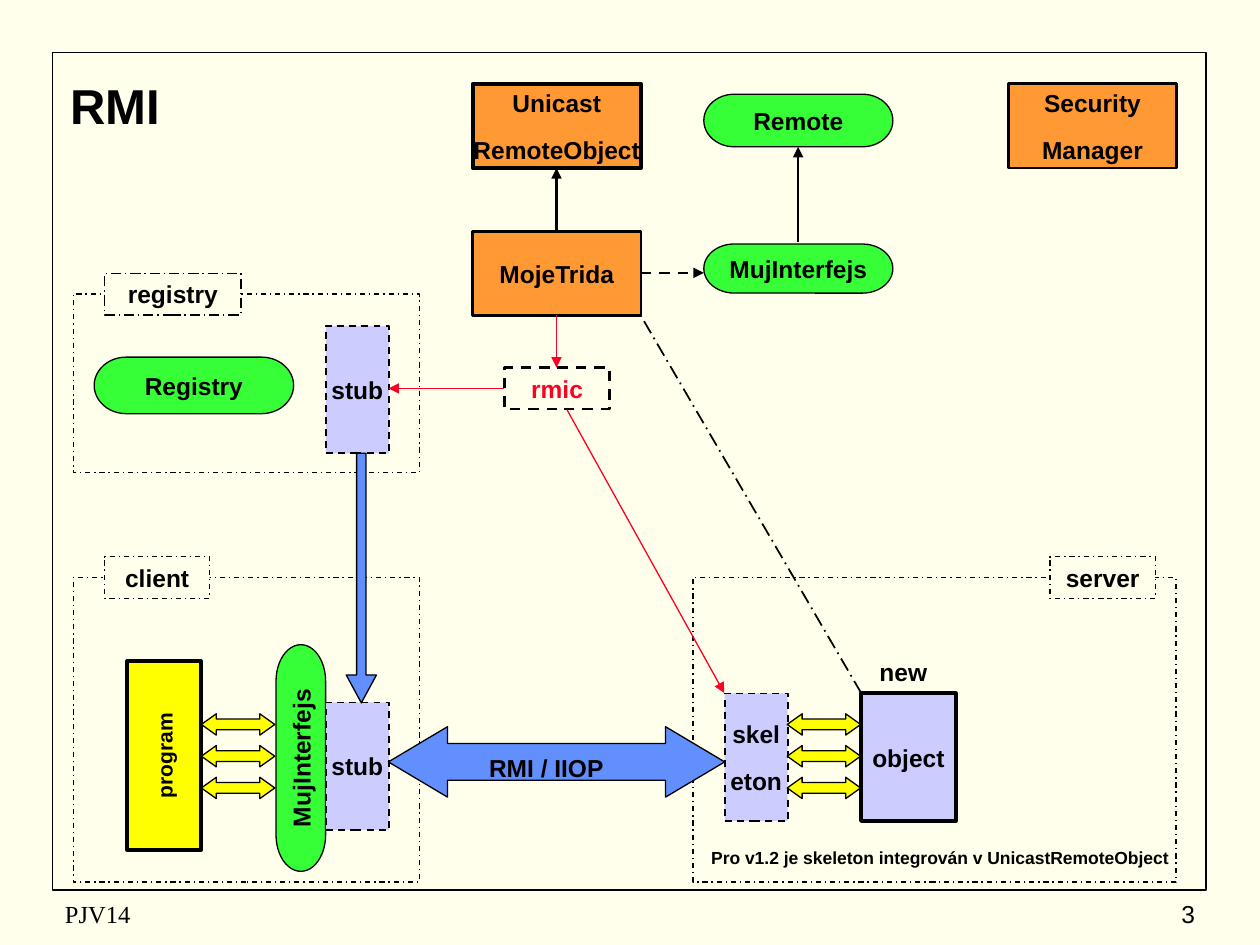
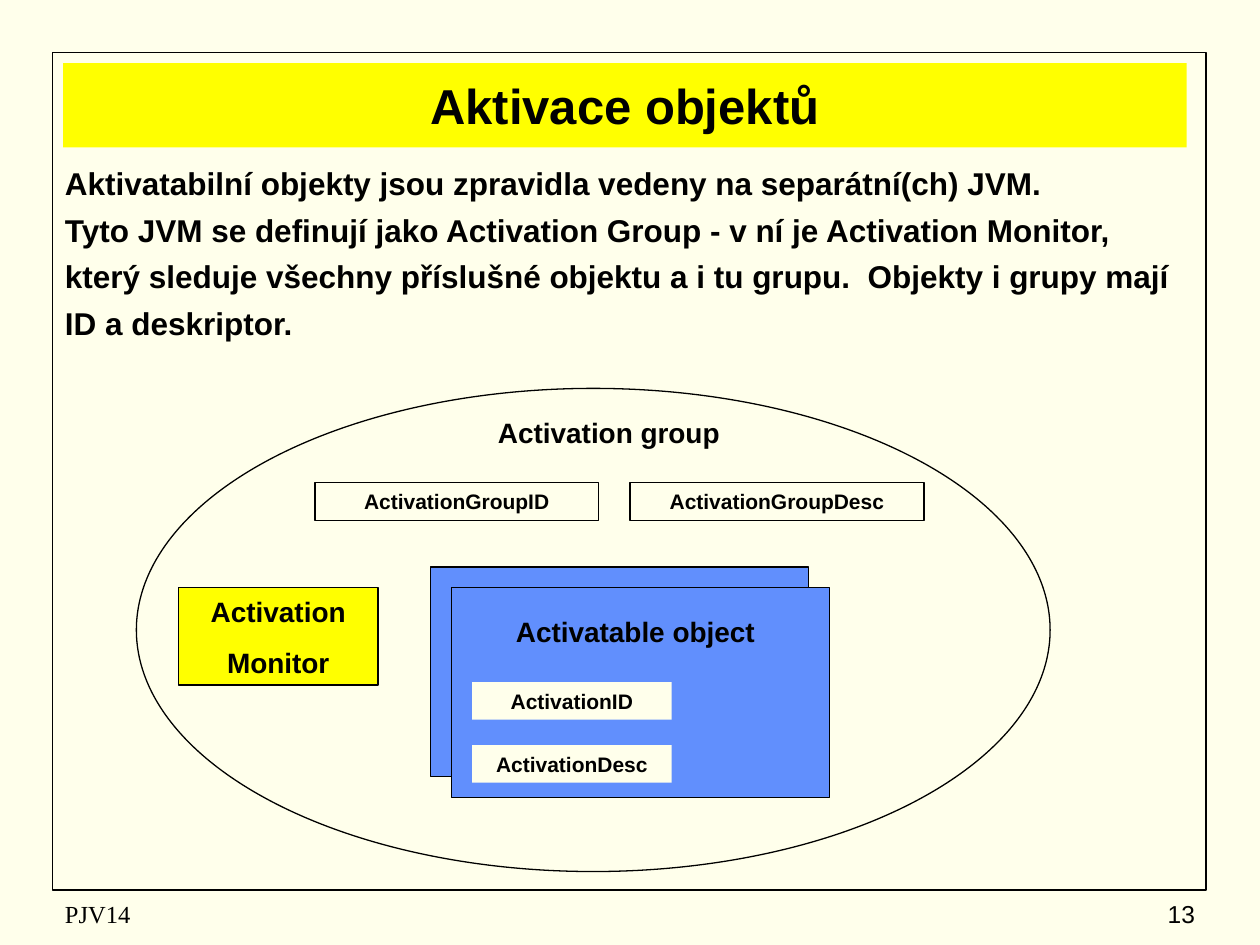
from dataclasses import dataclass

from pptx import Presentation
from pptx.dml.color import RGBColor
from pptx.enum.dml import MSO_LINE as Dash
from pptx.enum.shapes import MSO_CONNECTOR as Connector, MSO_SHAPE as Kind
from pptx.enum.text import MSO_ANCHOR as Anchor, MSO_AUTO_SIZE as AutoSize, PP_ALIGN as Align
from pptx.oxml.ns import qn
from pptx.util import Cm, Pt
from lxml.etree import SubElement


# Shared look
@dataclass(frozen=True)
class Theme:
    paper: str = "FFFFEB"
    ink: str = "000000"
    red: str = "FC0128"
    orange: str = "FF9933"
    green: str = "37FF37"
    yellow: str = "FFFF00"
    blue: str = "618FFD"
    lilac: str = "CCCCFF"
    sans: str = "Arial"
    serif: str = "Times New Roman"
    title_size: float = 28
    body_size: float = 18
    heading_size: float = 16
    label_size: float = 14
    small_size: float = 12
    note_size: float = 10
    body_gap: float = 5
    label_gap: float = 10


THEME = Theme()


@dataclass(frozen=True)
class Box:
    """A rectangle in centimetres."""
    left: float
    top: float
    width: float
    height: float

    def inner(self, x, y, width, height):
        return Box(self.left + x, self.top + y, width, height)

    def point(self, x, y):
        return self.left + x, self.top + y

    def lengths(self):
        return [Cm(v) for v in (self.left, self.top, self.width, self.height)]


def apply(target, formats):
    for name, value in formats.items():
        setattr(target, name, value)


# Basic parts
def write(shape, text, size=THEME.label_size, color=THEME.ink, font=THEME.sans,
          bold=True, align=Align.CENTER, anchor=Anchor.MIDDLE, wrap=False,
          gap=THEME.label_gap, plain=False):
    frame = shape.text_frame
    apply(frame, {
        "text": text, "word_wrap": wrap, "auto_size": AutoSize.NONE,
        "vertical_anchor": anchor,
        "margin_left": Cm(0.25), "margin_right": Cm(0.25),
        "margin_top": Cm(0.13), "margin_bottom": Cm(0.13),
    })
    for index, para in enumerate(frame.paragraphs):
        apply(para, {"alignment": align, "space_before": Pt(gap if index else 0)})
        if plain:  # no bullet, no hanging indent
            props = para._p.get_or_add_pPr()
            props.set("marL", "0")
            props.set("indent", "0")
            SubElement(props, qn("a:buNone"))
        apply(para.font, {"name": font, "size": Pt(size), "bold": bold})
        para.font.color.rgb = RGBColor.from_string(color)


def add_part(page, kind, box, text="", fill=None, line=0.75, dash=None,
             adjust=(), rotation=0, **text_format):
    shape = page.shapes.add_shape(kind, *box.lengths())
    shape.shadow.inherit = False
    shape.rotation = rotation
    for index, value in enumerate(adjust):
        shape.adjustments[index] = value
    if fill:
        shape.fill.solid()
        shape.fill.fore_color.rgb = RGBColor.from_string(fill)
    else:
        shape.fill.background()
    if line:
        shape.line.color.rgb = RGBColor.from_string(THEME.ink)
        apply(shape.line, {"width": Pt(line), "dash_style": dash})
    else:
        shape.line.fill.background()
    if text:
        write(shape, text, **text_format)
    return shape


def add_text(page, box, text, **text_format):
    write(page.shapes.add_textbox(*box.lengths()), text, **text_format)


def add_link(page, start, end, color=THEME.ink, width=0.75, dash=None, arrow=True):
    link = page.shapes.add_connector(
        Connector.STRAIGHT, *[Cm(v) for v in (*start, *end)])
    link.line.color.rgb = RGBColor.from_string(color)
    apply(link.line, {"width": Pt(width), "dash_style": dash})
    if arrow:
        SubElement(link.line._get_or_add_ln(), qn("a:tailEnd"), type="triangle")
    SubElement(link._element.spPr, qn("a:effectLst"))


# Page furniture
def add_page(deck, layout, number, title, title_box, title_fill=None):
    page = deck.slides.add_slide(deck.slide_layouts[layout])
    add_part(page, Kind.RECTANGLE, Box(1.06, 1.06, 23.25, 16.89), line=1)
    heading = page.shapes.title
    place(heading, title_box)
    write(heading, title, size=THEME.title_size, wrap=True)
    if title_fill:
        heading.fill.solid()
        heading.fill.fore_color.rgb = RGBColor.from_string(title_fill)
    footer = {"bold": False, "wrap": True}
    add_text(page, Box(1.06, 17.99, 8.04, 0.84), "PJV14",
             font=THEME.serif, align=Align.LEFT, **footer)
    add_text(page, Box(19.05, 17.99, 5.29, 0.84), str(number),
             align=Align.RIGHT, **footer)
    return page


def place(shape, box):
    apply(shape, dict(zip(("left", "top", "width", "height"), box.lengths())))


# Parts of the RMI diagram
def add_pill(page, box, text, **formats):
    add_part(page, Kind.FLOWCHART_TERMINATOR, box, text, fill=THEME.green, **formats)


def add_class(page, box, text, line=1.5):
    add_part(page, Kind.RECTANGLE, box, text, fill=THEME.orange, line=line)


def add_proxy(page, box, text):
    add_part(page, Kind.RECTANGLE, box, text, fill=THEME.lilac, line=1, dash=Dash.DASH)


def add_group(page, box, name, label_x=0.63, label_width=2.12, label_dash=Dash.DASH_DOT):
    add_part(page, Kind.RECTANGLE, box, dash=Dash.DASH_DOT)
    add_part(page, Kind.RECTANGLE, box.inner(label_x, -0.42, label_width, 0.84), name,
             fill=THEME.paper, dash=label_dash)


def add_calls(page, box, x):
    for row in range(3):
        add_part(page, Kind.LEFT_RIGHT_ARROW, box.inner(x, 2.75 + 0.64 * row, 1.48, 0.43),
                 fill=THEME.yellow, adjust=(0.5, 0.7))


def draw_classes(page, box):
    add_class(page, box.inner(0, 0, 3.39, 1.7), "Unicast\nRemoteObject", line=2.25)
    add_class(page, box.inner(0, 2.98, 3.39, 1.69), "MojeTrida")
    add_class(page, box.inner(10.8, 0, 3.39, 1.7), "Security\nManager")
    add_pill(page, box.inner(4.66, 0.21, 3.81, 1.06), "Remote")
    add_pill(page, box.inner(4.66, 3.23, 3.81, 0.99), "MujInterfejs")
    add_part(page, Kind.RECTANGLE, box.inner(0.64, 5.72, 2.12, 0.84), "rmic",
             fill=THEME.paper, line=1.5, dash=Dash.DASH, color=THEME.red)
    # Inheritance, implementation and compilation
    add_link(page, box.point(1.69, 2.98), box.point(1.69, 1.7), width=1.5)
    add_link(page, box.point(6.56, 3.18), box.point(6.56, 1.27), width=1.5)
    add_link(page, box.point(3.39, 3.81), box.point(4.66, 3.81), width=1.5, dash=Dash.DASH)
    add_link(page, box.point(1.69, 4.66), box.point(1.69, 5.72), color=THEME.red)


def draw_registry(page, box):
    add_group(page, box, "registry", label_width=2.75, label_dash=Dash.LONG_DASH_DOT)
    add_pill(page, box.inner(0.42, 1.27, 4.02, 1.14), "Registry")
    add_proxy(page, box.inner(5.09, 0.64, 1.27, 2.57), "stub")


def draw_client(page, box):
    add_group(page, box, "client")
    program = add_part(page, Kind.RECTANGLE, box.inner(1.09, 1.69, 1.48, 3.81), "program",
                       fill=THEME.yellow, line=2.25, size=THEME.small_size)
    program.text_frame._txBody.bodyPr.set("vert", "vert270")
    add_calls(page, box, 2.58)
    add_pill(page, box.inner(2.3, 3.14, 4.57, 1), "MujInterfejs", rotation=270)
    add_proxy(page, box.inner(5.09, 2.52, 1.27, 2.57), "stub")


def draw_server(page, box):
    add_group(page, box, "server", label_x=7.2)
    add_proxy(page, box.inner(0.64, 2.34, 1.27, 2.57), "skel\neton")
    add_part(page, Kind.RECTANGLE, box.inner(3.39, 2.34, 1.91, 2.57), "object",
             fill=THEME.lilac, line=2.25)
    add_calls(page, box, 1.9)
    add_text(page, box.inner(3.18, 1.48, 2.12, 0.84), "new")
    add_text(page, box.inner(0, 5.3, 9.95, 0.68),
             "Pro v1.2 je skeleton integrován v UnicastRemoteObject", size=THEME.note_size)


def draw_links(page, box):
    add_part(page, Kind.DOWN_ARROW, box.inner(6.98, 9.14, 0.61, 5.03),
             fill=THEME.blue, adjust=(0.31, 0.92))
    add_part(page, Kind.LEFT_RIGHT_ARROW, box.inner(7.83, 14.65, 6.78, 1.42),
             fill=THEME.blue, adjust=(0.52, 0.84))
    add_text(page, box.inner(9.53, 15.05, 2.97, 0.84), "RMI / IIOP")
    add_link(page, box.point(10.16, 7.83), box.point(7.83, 7.83), color=THEME.red)
    add_link(page, box.point(11.43, 8.26), box.point(14.6, 13.97), color=THEME.red)
    add_link(page, box.point(17.36, 13.97), box.point(12.91, 6.35), width=1,
             dash=Dash.LONG_DASH_DOT, arrow=False)


def build_rmi_page(deck):
    page = add_page(deck, 5, 3, "RMI", Box(0.42, 1.27, 3.81, 1.7))
    draw_classes(page, Box(9.53, 1.69, 14.19, 6.56))
    draw_registry(page, Box(1.48, 5.93, 6.98, 3.6))
    draw_client(page, Box(1.48, 11.64, 6.98, 6.14))
    draw_server(page, Box(13.97, 11.64, 9.74, 6.14))
    draw_links(page, Box(0, 0, 25.4, 19.05))


# Parts of the activation diagram
def draw_activatable(page, box):
    for shift in (0, 0.42):
        front = box.inner(shift, shift, 7.62, 4.23)
        add_part(page, Kind.RECTANGLE, front, fill=THEME.blue)
    add_text(page, front.inner(0.85, 0.42, 5.72, 0.93), "Activatable object",
             size=THEME.heading_size)
    for row, name in enumerate(("ActivationID", "ActivationDesc")):
        add_part(page, Kind.RECTANGLE, front.inner(0.42, 1.9 + 1.27 * row, 4.02, 0.76), name,
                 fill=THEME.paper, line=0, size=THEME.small_size)


def draw_activation_group(page, box):
    add_part(page, Kind.OVAL, box)
    add_text(page, box.inner(6.56, 0.42, 5.93, 0.93), "Activation group",
             size=THEME.heading_size)
    for x, width, name in ((3.6, 5.72, "ActivationGroupID"),
                           (9.95, 5.93, "ActivationGroupDesc")):
        add_part(page, Kind.RECTANGLE, box.inner(x, 1.9, width, 0.76), name,
                 size=THEME.small_size)
    add_part(page, Kind.RECTANGLE, box.inner(0.85, 4.02, 4.02, 1.96), "Activation\nMonitor",
             fill=THEME.yellow, size=THEME.heading_size)
    draw_activatable(page, box.inner(5.93, 3.6, 8.04, 4.65))


def build_activation_page(deck):
    page = add_page(deck, 1, 13, "Aktivace objektů", Box(1.27, 1.27, 22.65, 1.7),
                    title_fill=THEME.yellow)
    body = page.placeholders[1]
    place(body, Box(1.06, 3.18, 23.28, 4.87))
    write(body, "\n".join((
        "Aktivatabilní objekty jsou zpravidla vedeny na separátní(ch) JVM.",
        "Tyto JVM se definují jako Activation Group - v ní je Activation Monitor,",
        "který sleduje všechny příslušné objektu a i tu grupu.  Objekty i grupy mají",
        "ID a deskriptor.",
    )), size=THEME.body_size, align=Align.LEFT, anchor=Anchor.TOP, wrap=True,
        gap=THEME.body_gap, plain=True)
    draw_activation_group(page, Box(2.75, 7.83, 18.42, 9.74))


def main():
    deck = Presentation()
    apply(deck, {"slide_width": Cm(25.4), "slide_height": Cm(19.05)})
    paper = deck.slide_master.background.fill
    paper.solid()
    paper.fore_color.rgb = RGBColor.from_string(THEME.paper)
    build_rmi_page(deck)
    build_activation_page(deck)
    deck.save("out.pptx")


if __name__ == "__main__":
    main()
